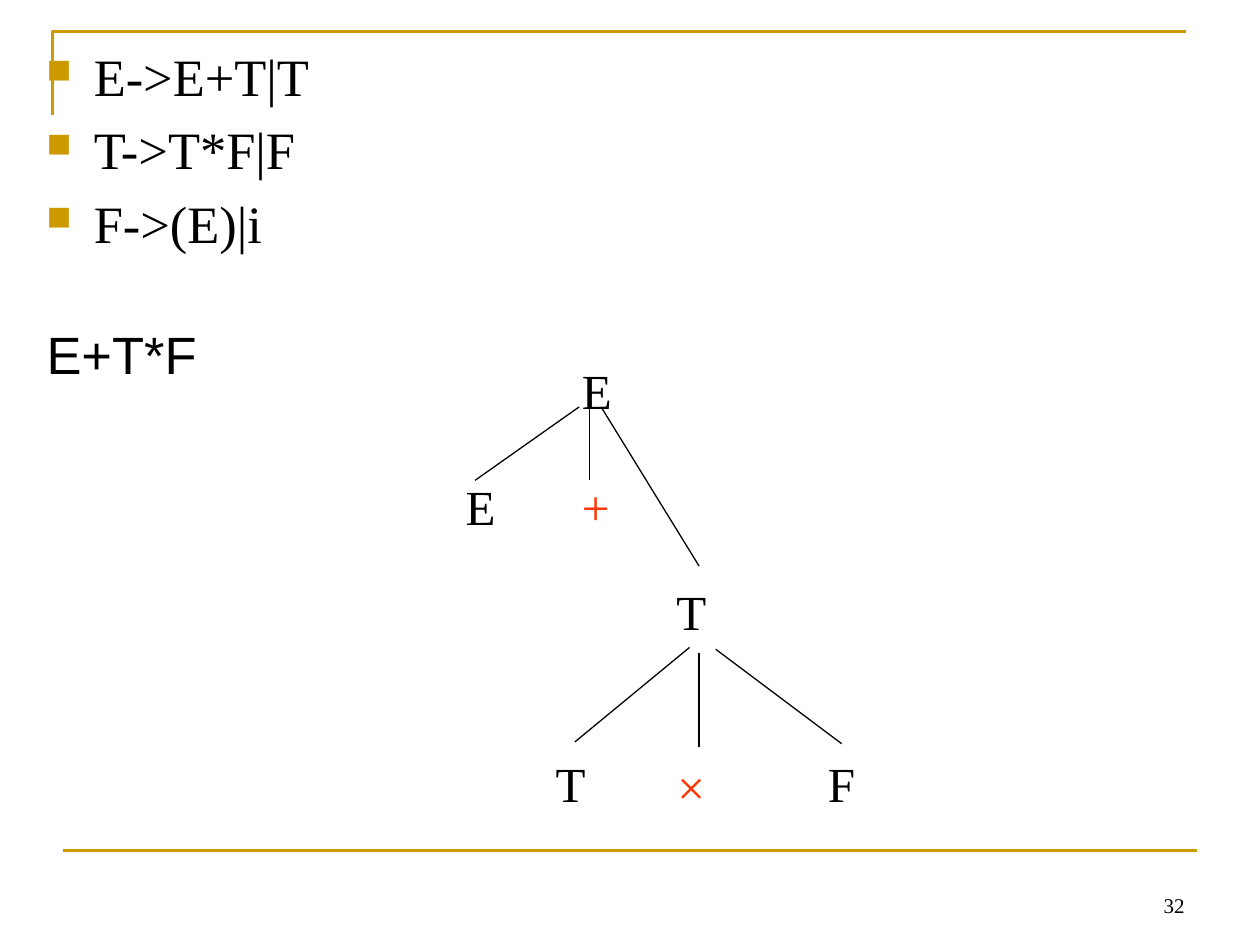
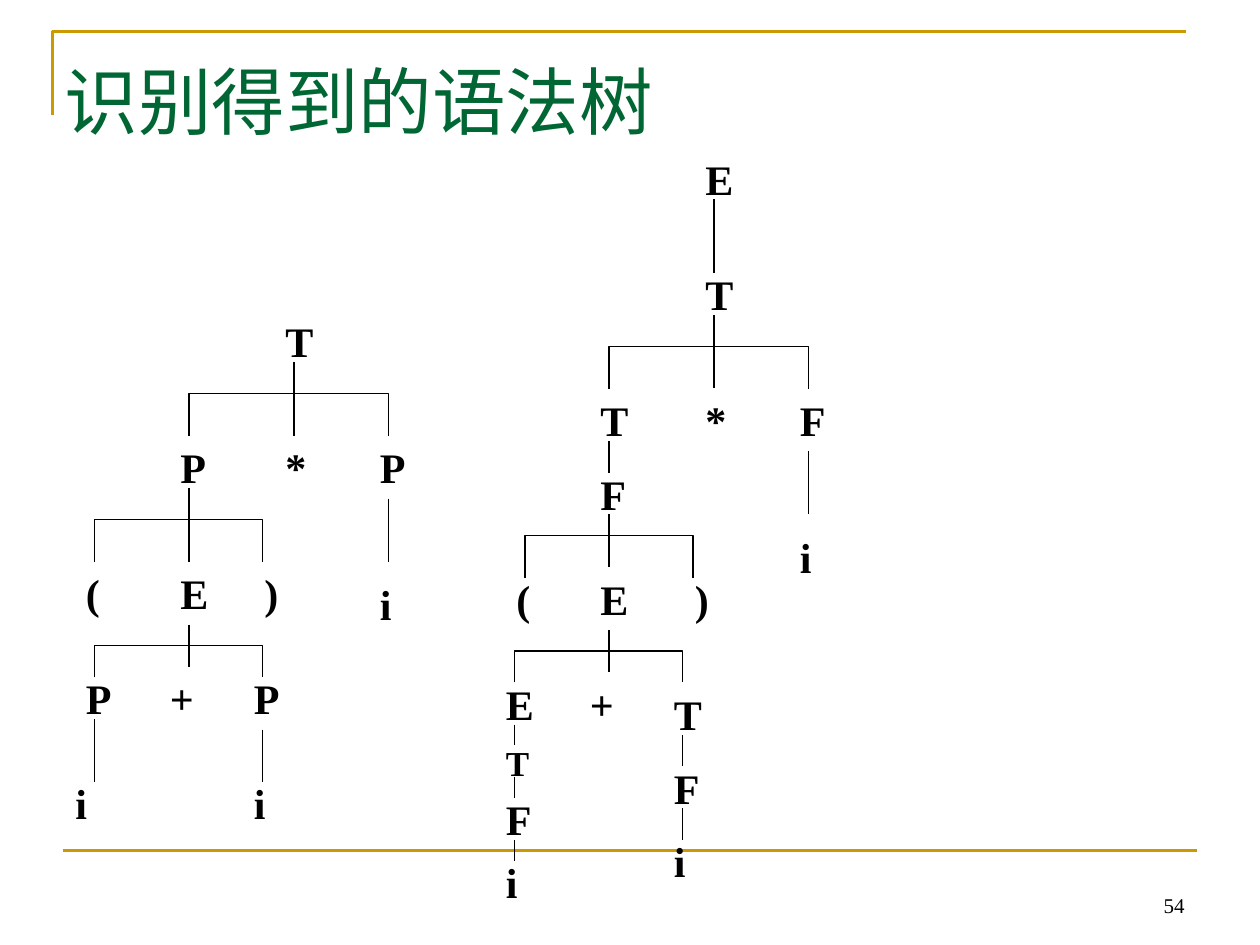
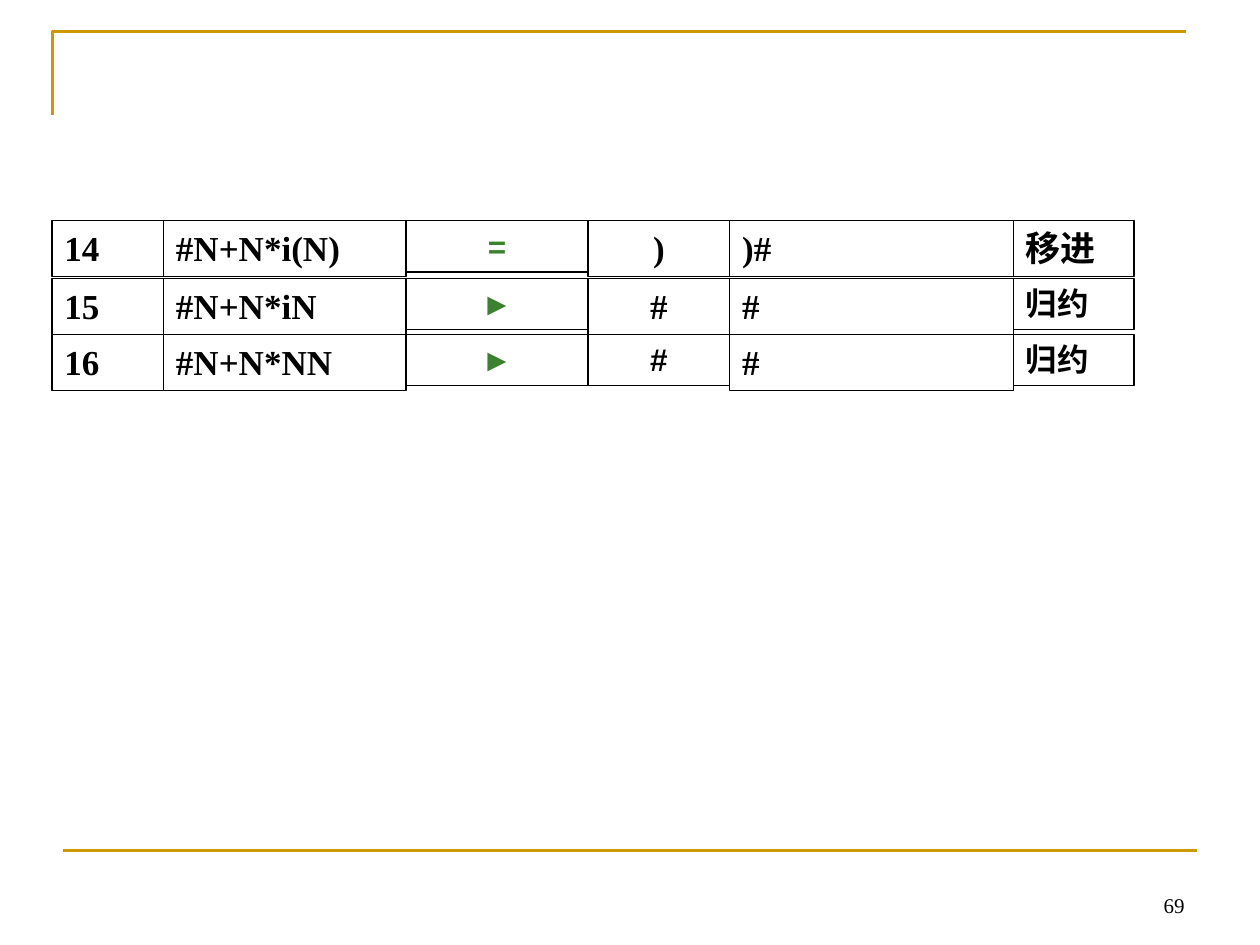
from dataclasses import dataclass
from itertools import accumulate
from typing import Any, NamedTuple

from lxml.etree import SubElement
from pptx import Presentation
from pptx.dml.color import RGBColor
from pptx.enum.shapes import MSO_CONNECTOR, MSO_SHAPE
from pptx.enum.text import MSO_ANCHOR, MSO_AUTO_SIZE, PP_ALIGN
from pptx.oxml.ns import qn
from pptx.util import Pt


# Theme
@dataclass(frozen=True)
class Theme:
    gold: RGBColor = RGBColor(0xCC, 0x99, 0x00)
    black: RGBColor = RGBColor(0x00, 0x00, 0x00)
    red: RGBColor = RGBColor(0xFF, 0x33, 0x00)
    title_green: RGBColor = RGBColor(0x00, 0x66, 0x33)
    relation_green: RGBColor = RGBColor(0x3B, 0x81, 0x2F)
    serif: str = "Times New Roman"
    sans: str = "Arial"
    title_size: float = 42
    body_size: float = 30
    tree_size: float = 28
    node_size: float = 24
    cell_size: float = 20
    small_size: float = 18
    number_size: float = 12
    frame_line: float = 1.5
    thin_line: float = 0.75


THEME = Theme()


# Repeated elements, in points
class Style(NamedTuple):
    size: float
    color: RGBColor = THEME.black
    font: str = THEME.serif
    bold: bool = False


class Area(NamedTuple):
    left: float
    top: float
    width: float
    height: float


class Label(NamedTuple):
    text: str
    left: float
    top: float
    width: float = 30
    height: float = 36
    style: Style = Style(THEME.node_size, bold=True)


class Line(NamedTuple):
    x1: float
    y1: float
    x2: float
    y2: float


class Stem(NamedTuple):
    x: float
    top: float
    bottom: float


class Bracket(NamedTuple):
    left: float
    right: float
    top: float
    bottom: float


class Cell(NamedTuple):
    text: str
    style: Style
    align: PP_ALIGN = PP_ALIGN.LEFT


@dataclass(frozen=True)
class Tree:
    labels: list[Label]
    stems: list[Stem]
    brackets: list[Bracket]


# Drawing functions
def apply_format(target: Any, values: dict[str, Any]) -> None:
    for name, value in values.items():
        setattr(target, name, value)


def write_para(para: Any, text: str, style: Style, align: PP_ALIGN = PP_ALIGN.LEFT) -> None:
    para.alignment = align
    span = para.add_run()
    span.text = text
    apply_format(span.font, {"name": style.font, "size": Pt(style.size), "bold": style.bold})
    span.font.color.rgb = style.color


def add_text(shapes: Any, area: Area, text: str, style: Style,
             align: PP_ALIGN = PP_ALIGN.LEFT, **frame_format: Any) -> Any:
    box = shapes.add_textbox(*map(Pt, area))
    apply_format(box.text_frame, {"word_wrap": True, **frame_format})
    write_para(box.text_frame.paragraphs[0], text, style, align)
    return box


def add_label(shapes: Any, label: Label) -> None:
    area = Area(label.left, label.top, label.width, label.height)
    add_text(shapes, area, label.text, label.style, auto_size=MSO_AUTO_SIZE.SHAPE_TO_FIT_TEXT)


def set_line(shape: Any, color: RGBColor, width: float) -> None:
    shape.line.color.rgb = color
    shape.line.width = Pt(width)


def add_line(shapes: Any, line: Line, color: RGBColor = THEME.black,
             width: float = THEME.thin_line) -> None:
    connector = shapes.add_connector(MSO_CONNECTOR.STRAIGHT, *map(Pt, line))
    set_line(connector, color, width)
    SubElement(connector._element.spPr, qn("a:effectLst"))


def add_outline(shapes: Any, points: list[tuple[float, float]],
                color: RGBColor = THEME.black, width: float = THEME.thin_line) -> None:
    start, *rest = [(Pt(x), Pt(y)) for x, y in points]
    builder = shapes.build_freeform(*start)
    builder.add_line_segments(rest, close=False)
    outline = builder.convert_to_shape()
    outline.shadow.inherit = False
    outline.fill.background()
    set_line(outline, color, width)


def add_tree(page: Any, tree: Tree) -> None:
    shapes = page.shapes.add_group_shape().shapes
    for label in tree.labels:
        add_label(shapes, label)
    for stem in tree.stems:
        add_line(shapes, Line(stem.x, stem.top, stem.x, stem.bottom))
    for left, right, top, bottom in tree.brackets:
        add_outline(shapes, [(left, bottom), (left, top), (right, top), (right, bottom)])


def add_cell(shapes: Any, area: Area, cell: Cell) -> None:
    box = shapes.add_shape(MSO_SHAPE.RECTANGLE, *map(Pt, area))
    box.shadow.inherit = False
    box.fill.background()
    set_line(box, THEME.black, THEME.thin_line)
    apply_format(box.text_frame, {
        "word_wrap": True,
        "vertical_anchor": MSO_ANCHOR.TOP,
        "auto_size": MSO_AUTO_SIZE.SHAPE_TO_FIT_TEXT,
    })
    write_para(box.text_frame.paragraphs[0], cell.text, cell.style, cell.align)


def add_bullet(para: Any) -> None:
    properties = para._p.get_or_add_pPr()
    indent = Pt(27)
    properties.set("marL", str(indent))
    properties.set("indent", str(-indent))
    color = SubElement(properties, qn("a:buClr"))
    SubElement(color, qn("a:srgbClr"), val=str(THEME.gold))
    SubElement(properties, qn("a:buSzPct"), val="65000")
    SubElement(properties, qn("a:buChar"), char="■")


def add_page(deck: Any, number: int) -> Any:
    """Add a page with the gold frame and its number."""
    page = deck.slides.add_slide(deck.slide_layouts[6])
    add_outline(page.shapes, [(30, 66), (30, 18), (678, 18)], THEME.gold, THEME.frame_line)
    add_line(page.shapes, Line(36, 486, 684, 486), THEME.gold, THEME.frame_line)
    add_text(page.shapes, Area(516, 492, 168, 36), str(number), Style(THEME.number_size),
             PP_ALIGN.RIGHT, vertical_anchor=MSO_ANCHOR.BOTTOM)
    return page


# Grammar and derivation tree
GRAMMAR = ["E->E+T|T", "T->T*F|F", "F->(E)|i"]
SYMBOL = Style(THEME.tree_size)
OPERATOR = Style(THEME.tree_size, THEME.red)
DERIVATION_LABELS = [
    Label("E", 325.5, 202.5, 30, 41, SYMBOL),
    Label("E", 259, 268.5, 30, 41, SYMBOL),
    Label("+", 325.5, 268.5, 30, 41, OPERATOR),
    Label("T", 379.5, 329, 30, 41, SYMBOL),
    Label("T", 310.5, 427, 30, 41, SYMBOL),
    Label("×", 380, 428.5, 48, 41, OPERATOR),
    Label("F", 466, 427, 30, 41, SYMBOL),
]
DERIVATION_BRANCHES = [
    Line(331, 232.5, 271.5, 274.5),
    Line(337, 232.5, 337, 274.5),
    Line(343.5, 232.5, 399.5, 323.5),
    Line(394, 370, 328.5, 424),
    Line(399.5, 373, 399.5, 427),
    Line(409, 371, 481, 425),
]


def build_grammar_page(deck: Any) -> None:
    page = add_page(deck, 32)
    body = Style(THEME.body_size)
    box = add_text(page.shapes, Area(19.5, 21.5, 199.5, 356.5), GRAMMAR[0], body)
    for rule in GRAMMAR[1:]:
        para = box.text_frame.add_paragraph()
        para.space_before = Pt(0.2 * THEME.body_size)
        write_para(para, rule, body)
    for para in box.text_frame.paragraphs:
        add_bullet(para)
    add_label(page.shapes, Label("E+T*F", 19.5, 180.5, 245, 43,
                                 Style(THEME.body_size, font=THEME.sans)))
    for label in DERIVATION_LABELS:
        add_label(page.shapes, label)
    for branch in DERIVATION_BRANCHES:
        add_line(page.shapes, branch)


# Recognised syntax trees
SHORT_TREE = Tree(
    labels=[
        Label("T", 156, 177),
        Label("P", 96, 249), Label("*", 156, 249), Label("P", 210, 249),
        Label("(", 42, 321), Label("E", 96, 321), Label(")", 144, 321), Label("i", 210, 327),
        Label("P", 42, 381), Label("+", 90, 381), Label("P", 138, 381),
        Label("i", 36, 441), Label("i", 138, 441),
    ],
    stems=[
        Stem(168, 207, 249), Stem(108, 279, 321), Stem(222, 285, 321),
        Stem(108, 357, 381), Stem(54, 411, 447), Stem(150, 417, 447),
    ],
    brackets=[
        Bracket(108, 222, 225, 249), Bracket(54, 150, 297, 321), Bracket(54, 150, 369, 387),
    ],
)
FULL_TREE = Tree(
    labels=[
        Label("E", 396, 84), Label("T", 396, 150),
        Label("T", 336, 222), Label("*", 396, 222), Label("F", 450, 222),
        Label("F", 336, 264), Label("i", 450, 300),
        Label("(", 288, 324), Label("E", 336, 324), Label(")", 390, 324),
        Label("E", 282, 384), Label("+", 330, 384), Label("T", 378, 390),
        Label("T", 282, 420, 30, 31, Style(THEME.cell_size, bold=True)),
        Label("F", 282, 450), Label("i", 282, 486, 24),
        Label("F", 378, 432), Label("i", 378, 474),
    ],
    stems=[
        Stem(408, 114, 156), Stem(408, 180, 222), Stem(348, 252, 270), Stem(462, 258, 294),
        Stem(348, 294, 324), Stem(348, 360, 384), Stem(294, 414, 426), Stem(294, 444, 456),
        Stem(294, 480, 492), Stem(390, 420, 438), Stem(390, 462, 480),
    ],
    brackets=[
        Bracket(348, 462, 198, 222), Bracket(300, 396, 306, 330), Bracket(294, 390, 372, 390),
    ],
)


def build_tree_page(deck: Any) -> None:
    page = add_page(deck, 54)
    add_text(page.shapes, Area(30, 30, 444, 54), "识别得到的语法树",
             Style(THEME.title_size, THEME.title_green), vertical_anchor=MSO_ANCHOR.MIDDLE)
    for tree in (SHORT_TREE, FULL_TREE):
        add_tree(page, tree)


# Parsing steps: separate boxes, whose height follows the type size
COLUMN_WIDTHS = [63.75, 138.5, 104, 81, 162, 69]
COLUMN_LEFTS = list(accumulate(COLUMN_WIDTHS[:-1], initial=29.75))
ROW_TOPS = [126, 159, 191]
CELL_HEIGHTS = {THEME.cell_size: 32, THEME.small_size: 29.5}
PLAIN = Style(THEME.cell_size, bold=True)
SMALL = Style(THEME.small_size, font=THEME.sans, bold=True)
RELATION = SMALL._replace(color=THEME.relation_green)


def step(number: str, stack: str, relation: str, symbol: Cell, rest: str, action: Cell) -> list[Cell]:
    return [Cell(number, PLAIN), Cell(stack, PLAIN),
            Cell(relation, RELATION, PP_ALIGN.CENTER), symbol, Cell(rest, PLAIN), action]


STEPS = [
    step("14", "#N+N*i(N)", "=", Cell(")", PLAIN, PP_ALIGN.CENTER), ")#", Cell("移进", PLAIN)),
    step("15", "#N+N*iN", "►", Cell("#", PLAIN, PP_ALIGN.CENTER), "#", Cell("归约", SMALL)),
    step("16", "#N+N*NN", "►", Cell("#", SMALL, PP_ALIGN.CENTER), "#", Cell("归约", SMALL)),
]


def build_steps_page(deck: Any) -> None:
    page = add_page(deck, 69)
    for top, cells in zip(ROW_TOPS, STEPS):
        shapes = page.shapes.add_group_shape().shapes
        for left, width, cell in zip(COLUMN_LEFTS, COLUMN_WIDTHS, cells):
            add_cell(shapes, Area(left, top, width, CELL_HEIGHTS[cell.style.size]), cell)


def main() -> None:
    deck = Presentation()
    apply_format(deck, {"slide_width": Pt(720), "slide_height": Pt(540)})
    for build in (build_grammar_page, build_tree_page, build_steps_page):
        build(deck)
    deck.save("out.pptx")


if __name__ == "__main__":
    main()
